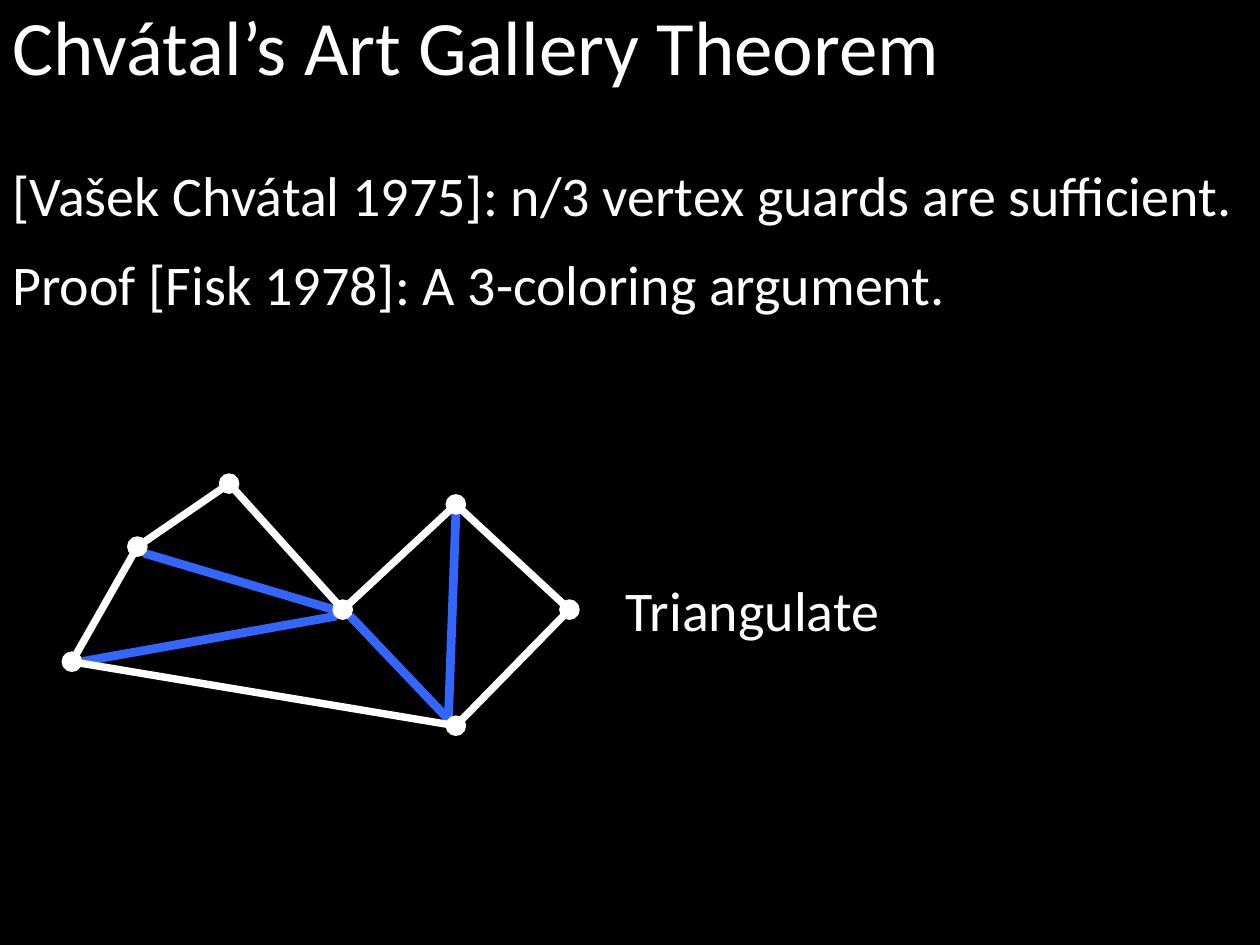
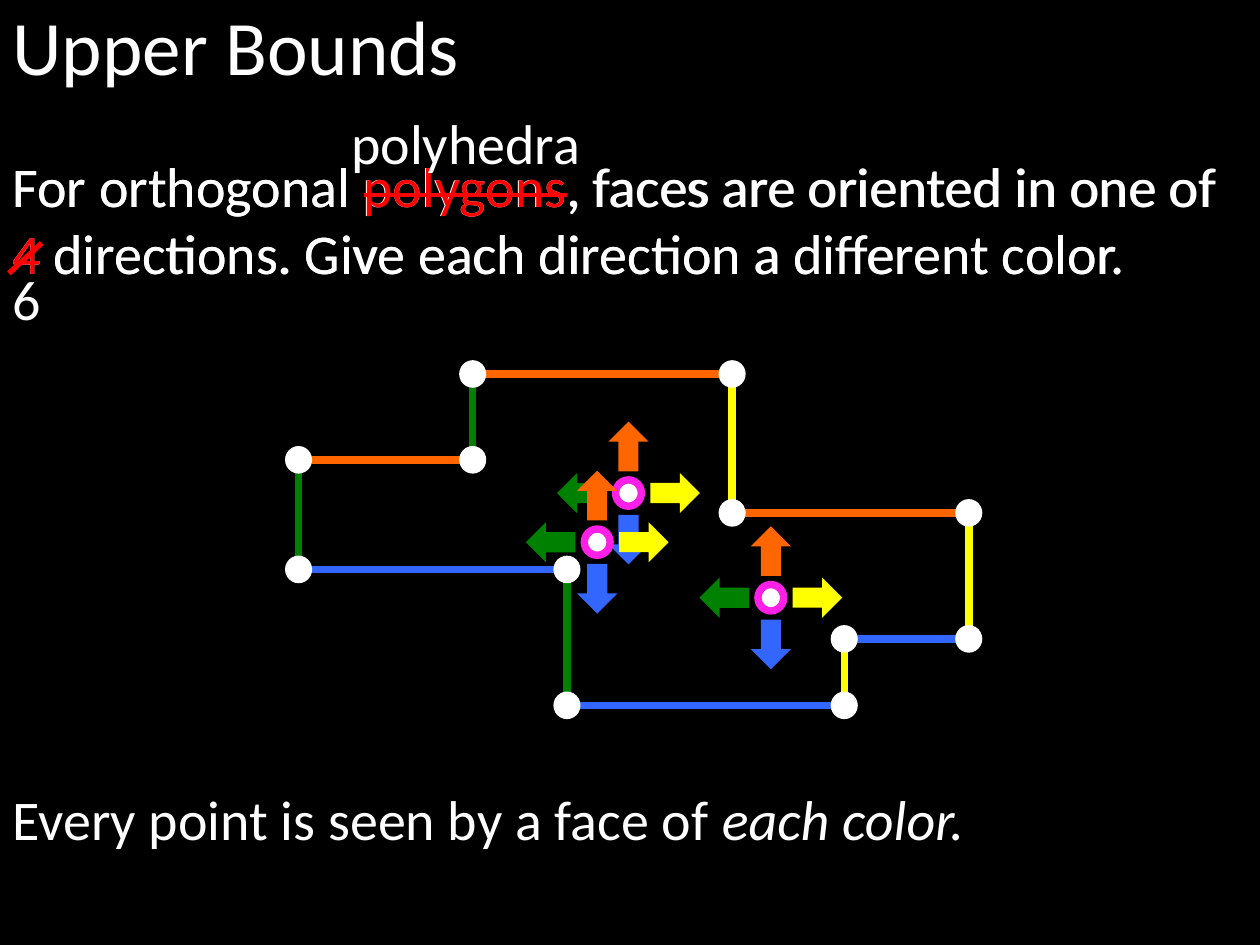
import math
from pptx import Presentation
from pptx import util as u
from pptx.dml.color import RGBColor
from pptx.enum import shapes, text
from pptx.oxml.ns import qn
from lxml import etree

BLACK = RGBColor(0, 0, 0)
WHITE = RGBColor(255, 255, 255)
RED = RGBColor(255, 0, 0)
BLUE = RGBColor(0x33, 0x66, 0xFF)
GREEN = RGBColor(0, 0x80, 0)
ORANGE = RGBColor(0xFF, 0x66, 0)
YELLOW = RGBColor(255, 255, 0)
MAGENTA = RGBColor(0xFF, 0x20, 0xE8)
FONT = "Calibri"


def write(paragraph, content, size=32, color=WHITE, italic=False, strike=False):
    run = paragraph.add_run()
    run.text = content
    run.font.name = FONT
    run.font.size = u.Pt(size)
    run.font.color.rgb = color
    if italic:
        run.font.italic = True
    if strike:
        run._r.get_or_add_rPr().set("strike", "sngStrike")


def add_solid(slide, kind, center, size, fill, line=None, line_width=0.75):
    (x, y), (width, height) = center, size
    shape = slide.shapes.add_shape(
        kind, u.Cm(x - width / 2), u.Cm(y - height / 2), u.Cm(width), u.Cm(height))
    shape.shadow.inherit = False
    shape.fill.solid()
    shape.fill.fore_color.rgb = fill
    if line is None:
        shape.line.fill.background()
    else:
        shape.line.color.rgb = line
        shape.line.width = u.Pt(line_width)
    return shape


presentation = Presentation()
presentation.slide_width = u.Cm(25.4)
presentation.slide_height = u.Cm(19.05)
background = presentation.slide_master.background.fill
background.solid()
background.fore_color.rgb = BLACK

slides = []
for heading, width in (("Chvátal’s Art Gallery Theorem", 23.65), ("Upper Bounds", 25.4)):
    slide = presentation.slides.add_slide(presentation.slide_layouts[5])
    title = slide.shapes.title
    title.left, title.top = u.Cm(0), u.Cm(-0.15)
    title.width, title.height = u.Cm(width), u.Cm(2.13)
    title.text_frame.word_wrap = True
    title.text_frame.auto_size = text.MSO_AUTO_SIZE.NONE
    title.text_frame.vertical_anchor = text.MSO_ANCHOR.TOP
    title.text_frame.paragraphs[0].alignment = text.PP_ALIGN.LEFT
    write(title.text_frame.paragraphs[0], heading, size=44)
    slides.append(slide)
theorem_slide, bounds_slide = slides

text_boxes = [
    (theorem_slide, 12.37, 11.48, 12.07, 1.63, [[("Triangulate", {})]]),
    (theorem_slide, 0, 3.12, 25.4, 1.63,
     [[("[Vašek Chvátal 1975]: n/3 vertex guards are sufficient.", {})]]),
    (theorem_slide, 0, 4.9, 23.65, 1.63,
     [[("Proof [Fisk 1978]: A 3-coloring argument.", {})]]),
]
for accent, strike in ((WHITE, False), (RED, True)):
    text_boxes.append((bounds_slide, 0, 2.92, 25.4, 3, [
        [("For orthogonal ", {}), ("polygons", {"color": accent, "strike": strike}),
         (", faces are oriented in one of", {})],
        [("4", {"color": accent}),
         (" directions. Give each direction a different color.", {})],
    ]))
text_boxes += [
    (bounds_slide, 0, 15.7, 25.4, 1.63,
     [[("Every point is seen by a face of ", {}), ("each color.", {"italic": True})]]),
    (bounds_slide, 6.83, 2.06, 6.02, 1.63, [[("polyhedra", {})]]),
    (bounds_slide, 0, 5.21, 3.07, 1.63, [[("6", {})]]),
]
for slide, left, top, width, height, lines in text_boxes:
    frame = slide.shapes.add_textbox(
        u.Cm(left), u.Cm(top), u.Cm(width), u.Cm(height)).text_frame
    frame.word_wrap = True
    frame.auto_size = text.MSO_AUTO_SIZE.SHAPE_TO_FIT_TEXT
    for index, runs in enumerate(lines):
        paragraph = frame.add_paragraph() if index else frame.paragraphs[0]
        for content, style in runs:
            write(paragraph, content, **style)

gallery = [(1.45, 13.34), (2.77, 11.02), (4.62, 9.75), (6.91, 12.29),
           (9.19, 10.17), (11.48, 12.29), (9.19, 14.63)]
gallery_edges = [
    ((2.9, 11.15), (6.73, 12.29), BLUE, 5),
    ((1.63, 13.34), (6.78, 12.42), BLUE, 5),
    ((9.04, 14.5), (9.19, 10.34), BLUE, 5),
    ((9.04, 14.5), (7.06, 12.42), BLUE, 5),
]
for start, end in zip(gallery, gallery[1:] + gallery[:1]):
    gallery_edges.append((start, end, WHITE, 4.25))

room = [(6.02, 9.27), (9.53, 9.27), (9.53, 7.54), (14.76, 7.54),
        (14.76, 10.34), (19.53, 10.34), (19.53, 12.88), (17.02, 12.88),
        (17.02, 14.22), (11.43, 14.22), (11.43, 11.48), (6.02, 11.48)]
wall_colors = {(1, 0): ORANGE, (0, 1): YELLOW, (-1, 0): BLUE, (0, -1): GREEN}
dot_radius = 0.26
room_edges = [((0.18, 5.51), (0.84, 4.9), RED, 3)]
for (x1, y1), (x2, y2) in zip(room, room[1:] + room[:1]):
    step_x = (x2 > x1) - (x2 < x1)
    step_y = (y2 > y1) - (y2 < y1)
    room_edges.append((
        (x1 + dot_radius * step_x, y1 + dot_radius * step_y),
        (x2 - dot_radius * step_x, y2 - dot_radius * step_y),
        wall_colors[step_x, step_y], 4.25))

for slide, edges, corners, dot_size in (
        (theorem_slide, gallery_edges, gallery, (0.39, 0.39)),
        (bounds_slide, room_edges, room, (0.52, 0.53))):
    for start, end, color, line_width in edges:
        connector = slide.shapes.add_connector(
            shapes.MSO_CONNECTOR.STRAIGHT, *[u.Cm(value) for value in start + end])
        connector.line.color.rgb = color
        connector.line.width = u.Pt(line_width)
        etree.SubElement(connector._element.spPr, qn("a:effectLst"))
    for corner in corners:
        add_solid(slide, shapes.MSO_SHAPE.OVAL, corner, dot_size, WHITE, WHITE)

arrow_reach = 0.94
for x, y in ((12.67, 9.94), (15.54, 12.05), (12.04, 10.93)):
    add_solid(bounds_slide, shapes.MSO_SHAPE.OVAL, (x, y), (0.52, 0.53),
              WHITE, MAGENTA, 4.25)
    for quarter, color in enumerate((YELLOW, BLUE, GREEN, ORANGE)):
        angle = quarter * math.pi / 2
        center = (x + arrow_reach * math.cos(angle), y + arrow_reach * math.sin(angle))
        arrow = add_solid(bounds_slide, shapes.MSO_SHAPE.RIGHT_ARROW, center,
                          (1, 0.81), color)
        arrow.rotation = quarter * 90

presentation.save("out.pptx")
